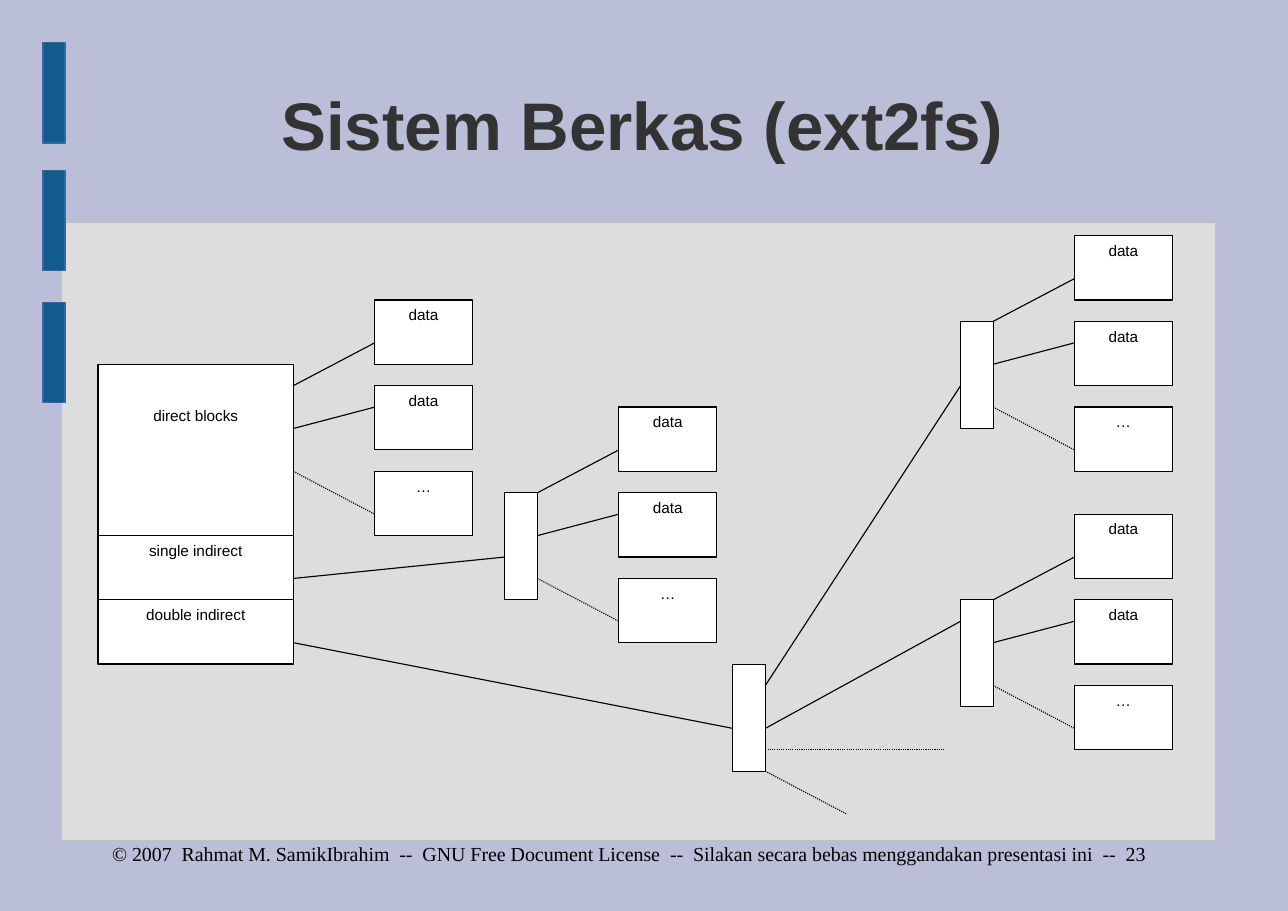
"""Build the ext2fs slide: direct, single and double indirect blocks."""
import pptx
import pptx.util
import pptx.dml.color
import pptx.enum.dml
import pptx.enum.shapes
import pptx.enum.text
import pptx.oxml

Pt = pptx.util.Pt
Align = pptx.enum.text.PP_ALIGN
Anchor = pptx.enum.text.MSO_ANCHOR
RGB = pptx.dml.color.RGBColor.from_string

theme = {
    "back": "BABED6",
    "panel": {"fill": "DDDDDD", "edge": "C0C0C0", "width": Pt(0)},
    "bar": {"fill": "125C8D", "edge": "3465A4", "width": Pt(0)},
    "block": {"fill": "FFFFFF", "edge": "000000", "width": Pt(0.75)},
    "title": {"name": "Arial", "size": Pt(44), "bold": True},
    "foot": {"name": "Times New Roman", "size": Pt(13), "bold": False},
    "label": {"name": "Arial", "size": Pt(10), "bold": False},
    "ink": {"title": "333333", "foot": "000000", "label": "000000"},
    "align": {"title": Align.CENTER, "foot": Align.RIGHT, "label": Align.CENTER},
}

deck = pptx.Presentation()
deck.slide_width = pptx.util.Inches(11.69)
deck.slide_height = pptx.util.Inches(8.27)
slide = deck.slides.add_slide(deck.slide_layouts[5])
slide.background.fill.solid()
slide.background.fill.fore_color.rgb = RGB(theme["back"])

# Areas are percent of the slide; the diagram has 66 columns and 27 rows.
wide, high = deck.slide_width / 100, deck.slide_height / 100
left, top = 7.61, 25.88
col, row = 83.4 / 66, 63.48 / 27
scale = (wide, high, wide, high)
texts = []


def box(area, style, text=""):
    spot = [round(part * unit) for part, unit in zip(area, scale)]
    shape = slide.shapes.add_shape(pptx.enum.shapes.MSO_SHAPE.RECTANGLE, *spot)
    shape.shadow.inherit = False
    shape.fill.solid()
    shape.fill.fore_color.rgb = RGB(style["fill"])
    shape.line.color.rgb = RGB(style["edge"])
    shape.line.width = style["width"]
    if text:
        shape.text_frame.text = text
        shape.text_frame.vertical_anchor = Anchor.TOP
        texts.append((shape.text_frame, "label"))
    return shape


def link(start, end, dots=False):
    ends = [round((base + num * step) * unit) for base, num, step, unit
            in zip((left, top) * 2, start + end, (col, row) * 2, scale)]
    line = slide.shapes.add_connector(pptx.enum.shapes.MSO_CONNECTOR.STRAIGHT, *ends)
    line.line.color.rgb = RGB(theme["block"]["edge"])
    line.line.width = theme["block"]["width"]
    if dots:
        line.line.dash_style = pptx.enum.dml.MSO_LINE.ROUND_DOT
    props = line._element.spPr
    props.append(pptx.oxml.parse_xml(
        '<a:effectLst xmlns:a="http://schemas.openxmlformats.org/drawingml/2006/main"/>'))


box((4.79, 24.43, 89.56, 67.84), theme["panel"])
for y in (4.7, 18.7, 33.2):
    box((3.34, y, 1.71, 11), theme["bar"])

title = slide.shapes.title
title.text_frame.text = "Sistem Berkas (ext2fs)"
foot = slide.shapes.add_textbox(0, 0, 0, 0)
foot.text_frame.text = (
    "© 2007  Rahmat M. SamikIbrahim  --  GNU Free Document License  --  "
    "Silakan secara bebas menggandakan presentasi ini  --  23")
for shape, area, kind, anchor in (
        (title, (5.47, 6.05, 88.88, 15.11), "title", Anchor.MIDDLE),
        (foot, (0, 92.38, 88.88, 5.93), "foot", Anchor.TOP)):
    for name, part, unit in zip(("left", "top", "width", "height"), area, scale):
        setattr(shape, name, round(part * unit))
    form = {"margin_left": 0, "margin_right": 0, "margin_top": 0,
            "margin_bottom": 0, "word_wrap": True, "vertical_anchor": anchor}
    for name, value in form.items():
        setattr(shape.text_frame, name, value)
    texts.append((shape.text_frame, kind))

blocks = [(0, 6, 12, 8, "direct blocks"), (0, 14, 12, 3, "single indirect"),
          (0, 17, 12, 3, "double indirect"), (39, 20, 2, 5, "")]
links = [((12, 16), (25, 15), False), ((12, 19), (39, 23), False),
         ((41, 21), (53, 7), False), ((41, 23), (53, 18), False),
         ((41, 24), (52, 24), True), ((41, 25), (46, 27), True)]

for x, y, index in ((17, 3, False), (32, 8, True), (60, 0, True), (60, 13, True)):
    if index:
        blocks.append((x - 7, y + 4, 2, 5, ""))
    for num, (text, hit) in enumerate((("data", 2), ("data", 5), ("…", 10))):
        blocks.append((x, y + 4 * num, 6, 3, text))
        links.append(((x - 5, y + 4 + 2 * num), (x, y + hit), text == "…"))

for x, y, w, h, text in blocks:
    block = box((left + x * col, top + y * row, w * col, h * row), theme["block"], text)
    if text == "direct blocks":
        block.text_frame.margin_top = round(1.95 * row * high)
for start, end, dots in links:
    link(start, end, dots)

for frame, kind in texts:
    para = frame.paragraphs[0]
    para.alignment = theme["align"][kind]
    for name, value in theme[kind].items():
        setattr(para.font, name, value)
    para.font.color.rgb = RGB(theme["ink"][kind])

deck.save("out.pptx")
